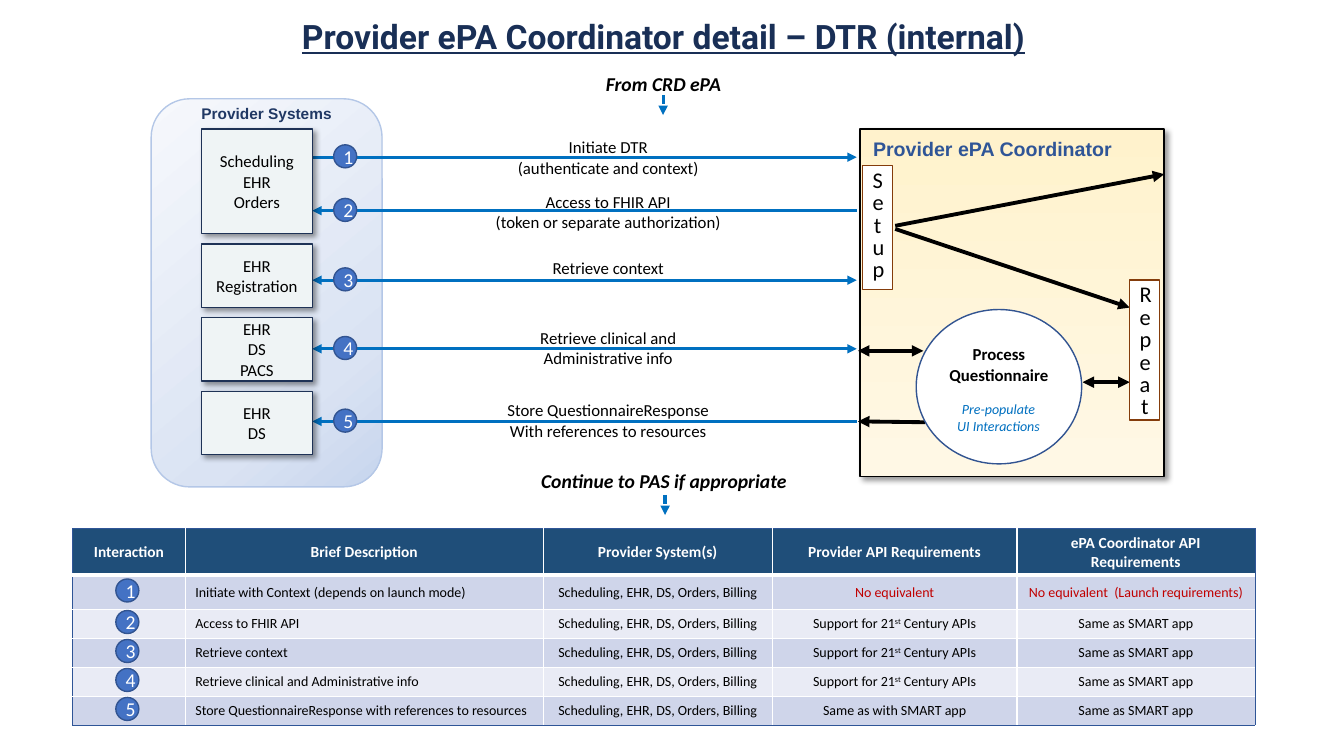
"""Build the Provider ePA Coordinator DTR slide."""
from lxml.etree import SubElement
from pptx import Presentation
from pptx.dml.color import RGBColor
from pptx.enum.dml import MSO_LINE
from pptx.enum.shapes import MSO_CONNECTOR, MSO_SHAPE as SHAPE
from pptx.enum.text import MSO_ANCHOR as ANCHOR, PP_ALIGN as ALIGN
from pptx.oxml import parse_xml
from pptx.oxml.ns import nsdecls, qn
from pptx.util import Cm, Pt

rgb = RGBColor.from_string
SHADOW = (f'<a:outerShdw {nsdecls("a")} blurRad="50800" dist="38100" dir="2700000" '
          'algn="tl" rotWithShape="0"><a:srgbClr val="000000">'
          '<a:alpha val="40000"/></a:srgbClr></a:outerShdw>')


def write(tf, text, size=12, font="Calibri", color="000000", bold=False, italic=False,
          underline=False, align=ALIGN.CENTER, spacing=None, after=0, anchor=ANCHOR.TOP):
    tf.word_wrap = True
    tf.vertical_anchor = anchor
    for i, line in enumerate(text.split("\n")):
        p = tf.add_paragraph() if i else tf.paragraphs[0]
        p.alignment, p.line_spacing, p.space_after = align, spacing, Pt(after)
        for j, part in enumerate(line.split("^")):
            r = p.add_run()
            r.text = part
            f = r.font
            f.name, f.size, f.color.rgb = font, Pt(size), rgb(color)
            f.bold, f.italic, f.underline = bold, italic, underline
            if j % 2:
                f._element.set("baseline", "30000")


def box(kind, at, fill, line, text="", stops=(), angle=0, shadow=False, **fmt):
    s = shapes.add_shape(kind, *map(Cm, at))
    s.shadow.inherit = False
    if shadow:
        s._element.spPr.find(qn("a:effectLst")).append(parse_xml(SHADOW))
    if stops:
        s.fill.gradient()
        s.fill.gradient_angle = 360 - angle
        gs_list = s._element.spPr.find(qn("a:gradFill")).find(qn("a:gsLst"))
        for gs in list(gs_list):
            gs_list.remove(gs)
        for pos, color in stops:
            gs = SubElement(gs_list, qn("a:gs"), pos=str(pos * 1000))
            SubElement(gs, qn("a:srgbClr"), val=color)
    else:
        s.fill.solid()
        s.fill.fore_color.rgb = rgb(fill)
    s.line.color.rgb = rgb(line)
    s.line.width = Pt(1)
    if text:
        write(s.text_frame, text, **fmt)
    return s


prs = Presentation()
prs.slide_width, prs.slide_height = Cm(33.87), Cm(19.05)
slide = prs.slides.add_slide(prs.slide_layouts[5])
shapes = slide.shapes

title = shapes.title
title.left, title.top, title.width, title.height = map(Cm, (5, 0.28, 23.44, 1.27))
write(title.text_frame, "Provider ePA Coordinator detail – DTR (internal)", size=24,
      font="Roboto", color="192F56", bold=True, underline=True, after=12)

box(SHAPE.ROUNDED_RECTANGLE, (3.81, 2.49, 5.82, 9.78), None, "B4C7E7",
    stops=[(0, "F6F8FC"), (74, "DAE3F3"), (100, "C7D5ED")], angle=50)
box(SHAPE.RECTANGLE, (21.67, 3.25, 7.67, 8.76), None, "000000",
    stops=[(0, "FFF2CC"), (97, "FFF8E5")], angle=90, shadow=True)

LEFT, RIGHT, BOTH = ("headEnd",), ("tailEnd",), ("headEnd", "tailEnd")
interactions = [
    (3.96, 3.33, RIGHT, "Initiate DTR\n(authenticate and context)"),
    (5.31, 4.7, LEFT, "Access to FHIR API\n(token or separate authorization)"),
    (7.06, 6.38, BOTH, "Retrieve context"),
    (8.79, 8.13, BOTH, "Retrieve clinical and\nAdministrative info"),
    (10.62, 9.96, LEFT, "Store QuestionnaireResponse\nWith references to resources"),
]
heading = dict(size=14, bold=True, italic=True)
labels = [
    ((3.81, 2.51, 5.82, 0.74), "Provider Systems",
     dict(size=11, font="Arial", color="203864", bold=True)),
    ((21.69, 3.33, 6.65, 0.86), "Provider ePA Coordinator",
     dict(size=14, font="Arial", color="2F5597", bold=True)),
    ((14.94, 1.7, 3.56, 0.86), "From CRD ePA", heading),
    ((13.28, 11.68, 6.91, 0.86), "Continue to PAS if appropriate", heading),
]
labels += [((12.22, top, 6.22, 1.27), text, {}) for _, top, _, text in interactions]
for at, text, fmt in labels:
    write(shapes.add_textbox(*map(Cm, at)).text_frame, text, **fmt)

BLUE, BLACK = ("0070C0", 2.25), ("000000", 2.75)
arrows = [((7.87, y, 21.59, y), BLUE, ends, None) for y, _, ends, _ in interactions]
arrows += [
    ((16.71, 2.39, 16.71, 2.9), BLUE, RIGHT, MSO_LINE.SQUARE_DOT),
    ((16.76, 12.47, 16.76, 12.98), BLUE, RIGHT, MSO_LINE.SQUARE_DOT),
    ((22.56, 5.69, 29.34, 4.39), BLACK, RIGHT, None),
    ((22.56, 5.77, 28.47, 7.75), BLACK, RIGHT, None),
    ((27.28, 9.63, 28.47, 9.63), BLACK, BOTH, None),
    ((21.62, 8.84, 23.27, 8.84), BLACK, BOTH, None),
    ((21.62, 10.62, 23.32, 10.64), BLACK, LEFT, None),
]
for points, (color, width), ends, dash in arrows:
    c = shapes.add_connector(MSO_CONNECTOR.STRAIGHT, *map(Cm, points))
    c.line.color.rgb = rgb(color)
    c.line.width = Pt(width)
    if dash:
        c.line.dash_style = dash
    for end in ends:
        SubElement(c.line._get_or_add_ln(), qn(f"a:{end}"), type="triangle")
    SubElement(c._element.spPr, qn("a:effectLst"))

for at, text in [((21.74, 4.17, 0.76, 3.12), "Setup"), ((28.47, 7.06, 0.76, 3.53), "Repeat")]:
    box(SHAPE.RECTANGLE, at, "FFFFFF", "843C0B", text, size=16, spacing=Pt(16))

systems = [(3.25, 2.64, "Scheduling\nEHR\nOrders"), (6.15, 1.6, "EHR\nRegistration"),
           (8, 1.6, "EHR\nDS\nPACS"), (9.86, 1.6, "EHR\nDS")]
for top, height, text in systems:
    box(SHAPE.RECTANGLE, (5.08, top, 2.79, height), "EFF4F5", "1E3256", text,
        shadow=True, anchor=ANCHOR.MIDDLE)

process = box(SHAPE.FLOWCHART_CONNECTOR, (23.09, 7.8, 4.17, 3.89), "FFFFFF", "325491",
              "Process\nQuestionnaire", bold=True, anchor=ANCHOR.MIDDLE)
tf = process.text_frame
tf.margin_left = tf.margin_right = 0
tf.margin_bottom = Cm(1.25)
write(shapes.add_textbox(*map(Cm, (23.44, 9.98, 3.45, 1.12))).text_frame,
      "Pre-populate\nUI Interactions", size=10, color="0070C0", italic=True)

SYSTEMS, CENTURY, SMART = ("Scheduling, EHR, DS, Orders, Billing",
                           "Support for 21^st^ Century APIs", "Same as SMART app")
rows = [
    ("Interaction", "Brief Description", "Provider System(s)", "Provider API Requirements",
     "ePA Coordinator API Requirements"),
    ("", "Initiate with Context (depends on launch mode)", SYSTEMS, "No equivalent",
     "No equivalent  (Launch requirements)"),
    ("", "Access to FHIR API", SYSTEMS, CENTURY, SMART),
    ("", "Retrieve context", SYSTEMS, CENTURY, SMART),
    ("", "Retrieve clinical and Administrative info", SYSTEMS, CENTURY, SMART),
    ("", "Store QuestionnaireResponse with references to resources", SYSTEMS,
     "Same as with SMART app", SMART),
]
widths = [2.84, 9.02, 5.77, 6.17, 5.99]
heights = [1.18, 0.86] + [0.73] * 4
table_top = 13.31
table = shapes.add_table(len(rows), len(widths), Cm(1.83), Cm(table_top),
                         Cm(sum(widths)), Cm(sum(heights))).table
for col, width in zip(table.columns, widths):
    col.width = Cm(width)
for row, height in zip(table.rows, heights):
    row.height = Cm(height)

EDGE, INNER, HEADER = ("2F5597", 0.25), ("FFFFFF", 1), ("FFFFFF", 3)
for i, texts in enumerate(rows):
    for j, text in enumerate(texts):
        cell = table.cell(i, j)
        borders = {
            "lnL": INNER if j else EDGE,
            "lnR": EDGE if j == len(widths) - 1 else INNER,
            "lnT": EDGE if i == 0 else HEADER if i == 1 else INNER,
            "lnB": HEADER if i == 0 else EDGE if i == len(rows) - 1 else INNER,
        }
        for side, (color, width) in borders.items():
            ln = SubElement(cell._tc.get_or_add_tcPr(), qn(f"a:{side}"), w=str(Pt(width)))
            SubElement(SubElement(ln, qn("a:solidFill")), qn("a:srgbClr"), val=color)
        cell.fill.solid()
        cell.fill.fore_color.rgb = rgb("1F4E79" if i == 0 else "CFD5EA" if i % 2 else "E9EBF5")
        cell.vertical_anchor = ANCHOR.MIDDLE
        if not text:
            SubElement(cell.text_frame.paragraphs[0]._p, qn("a:endParaRPr"), sz="1000")
        elif i == 0:
            write(cell.text_frame, text, size=11, color="FFFFFF", bold=True,
                  anchor=ANCHOR.MIDDLE)
        else:
            write(cell.text_frame, text, size=10,
                  color="C00000" if text.startswith("No equivalent") else "000000",
                  align=ALIGN.LEFT if j == 1 else ALIGN.CENTER, anchor=ANCHOR.MIDDLE)

for n, (y, *_) in enumerate(interactions, 1):
    middle = table_top + sum(heights[:n]) + heights[n] / 2
    for left, top in [(8.41, y - 0.31), (2.92, middle - 0.33)]:
        box(SHAPE.FLOWCHART_CONNECTOR, (left, top, 0.58, 0.58), "4472C4", "325491", str(n),
            size=14, color="FFFFFF", anchor=ANCHOR.MIDDLE)

prs.save("out.pptx")
